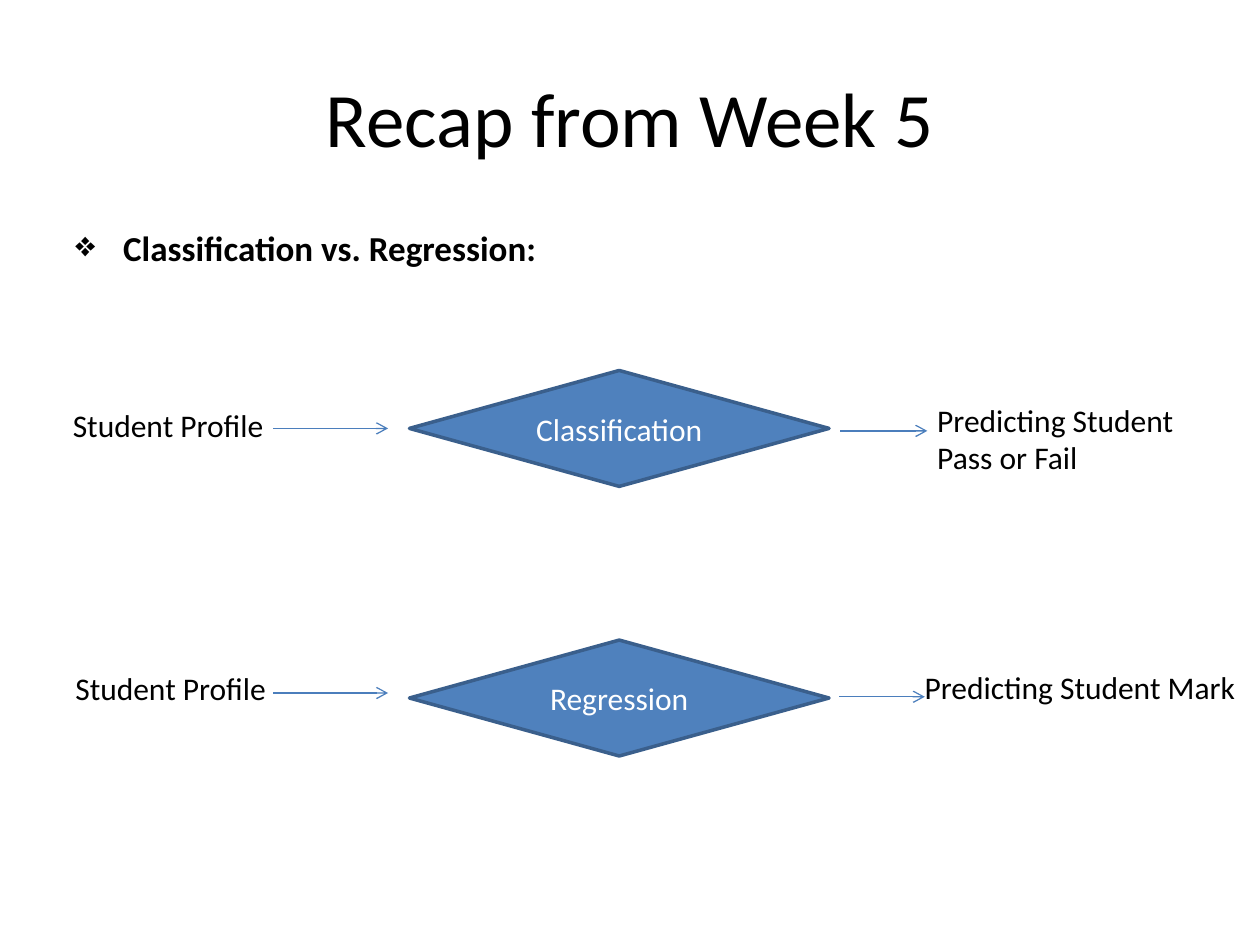
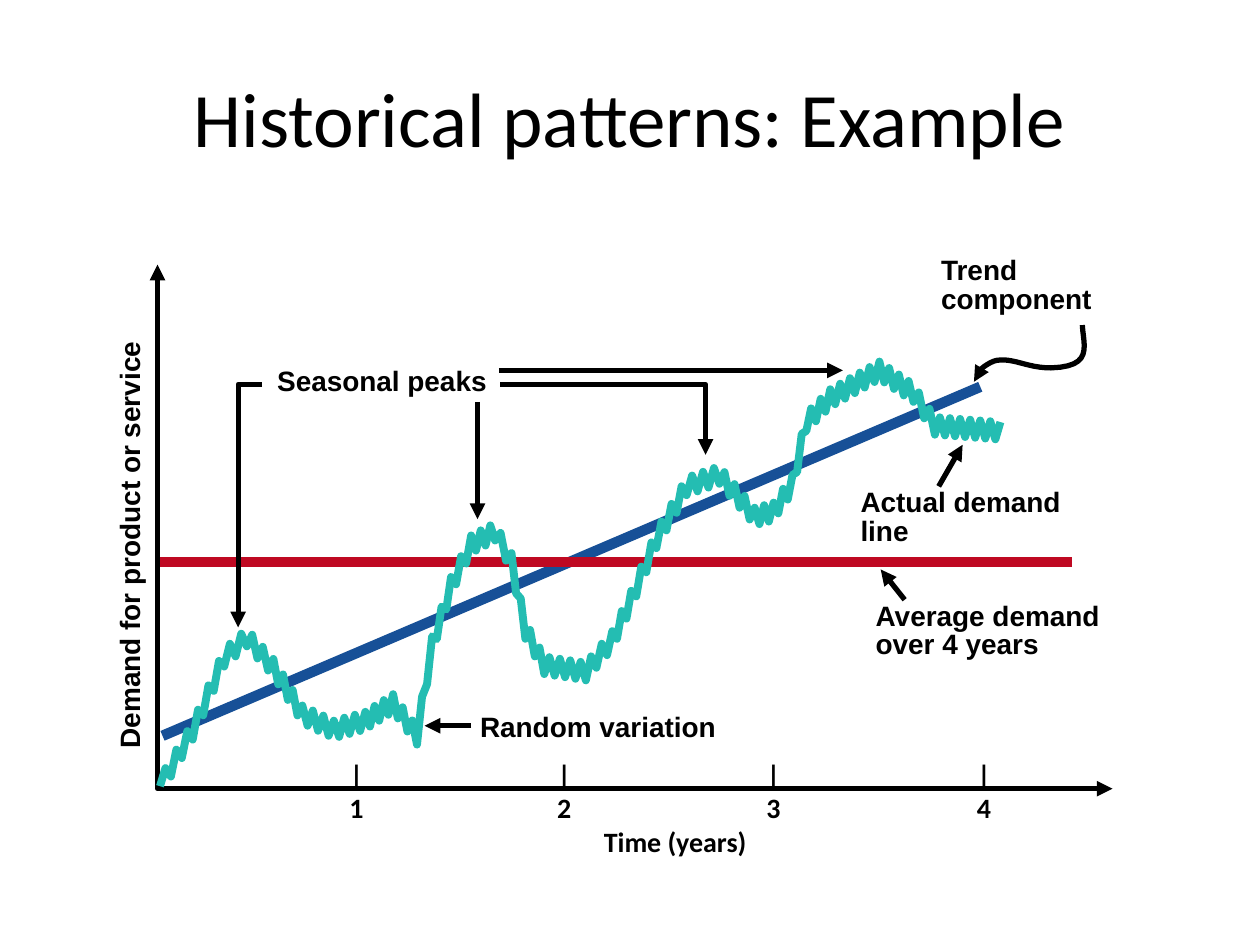
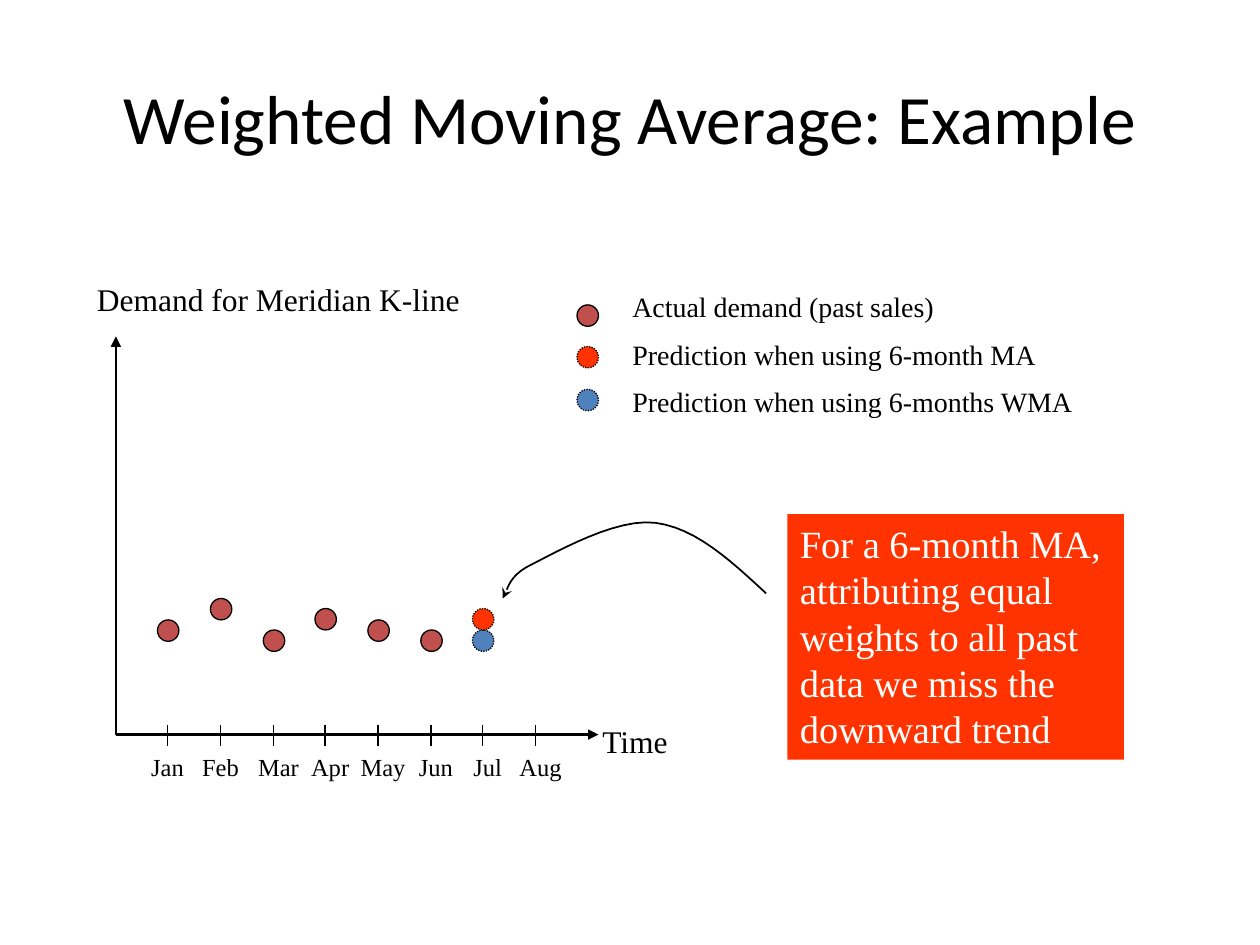
"""Build three forecasting slides: a recap, demand patterns and a moving average."""
from dataclasses import dataclass, field
from itertools import pairwise
from typing import Any, Optional

from lxml.etree import SubElement
from pptx import Presentation
from pptx.dml.color import RGBColor
from pptx.enum.dml import MSO_LINE
from pptx.enum.shapes import MSO_CONNECTOR, MSO_SHAPE
from pptx.enum.text import MSO_ANCHOR as Anchor, PP_ALIGN as Align
from pptx.oxml.ns import qn
from pptx.shapes.autoshape import Shape
from pptx.slide import Slide
from pptx.util import Emu, Pt

EMU_PER_PX = 9144
Point = tuple[float, float]


@dataclass(frozen=True)
class TextStyle:
    font: str
    size: float
    color: str = "000000"
    bold: bool = False
    align: Align = Align.LEFT
    spacing: float = 1.0
    before: int = 0
    anchor: Anchor = Anchor.TOP
    inset: int = 10


@dataclass(frozen=True)
class Stroke:
    color: str
    width: float
    head: str = ""
    tail: str = ""
    dash: Optional[MSO_LINE] = None


@dataclass(frozen=True)
class Theme:
    blue: str = "4F81BD"
    brick: str = "C0504D"
    orange: str = "FF3300"
    title: TextStyle = TextStyle("Calibri", 44, align=Align.CENTER, anchor=Anchor.MIDDLE)
    long_title: TextStyle = TextStyle("Calibri", 39.6, align=Align.CENTER, anchor=Anchor.MIDDLE)
    heading: TextStyle = TextStyle("Calibri", 20, bold=True)
    body: TextStyle = TextStyle("Calibri", 18)
    decision: TextStyle = TextStyle("Calibri", 18, "FFFFFF", align=Align.CENTER, anchor=Anchor.MIDDLE)
    ticks: TextStyle = TextStyle("Calibri", 16, bold=True)
    axis_name: TextStyle = TextStyle("Arial", 16, bold=True, inset=11)
    note: TextStyle = TextStyle("Arial", 16, bold=True, spacing=0.85, inset=11)
    serif: TextStyle = TextStyle("Times New Roman", 18, align=Align.CENTER)
    month: TextStyle = TextStyle("Times New Roman", 14, align=Align.CENTER)
    legend: TextStyle = TextStyle("Times New Roman", 16, before=8)
    callout: TextStyle = TextStyle("Times New Roman", 22, "FFFFFF")
    flow: Stroke = Stroke("4B7EBC", 0.75, tail="arrow")
    decision_edge: Stroke = Stroke("3A5F8C", 2)
    trend: Stroke = Stroke("175097", 6)
    average: Stroke = Stroke("BF0922", 6)
    demand: Stroke = Stroke("24BDB2", 4.5)
    both_axes: Stroke = Stroke("000000", 3, head="triangle", tail="triangle")
    pointer: Stroke = Stroke("000000", 3, tail="triangle")
    axis: Stroke = Stroke("000000", 1.25, tail="triangle")
    thin: Stroke = Stroke("000000", 0.75)
    dotted: Stroke = Stroke("000000", 0.75, dash=MSO_LINE.ROUND_DOT)
    callout_curve: Stroke = Stroke("000000", 1, head="stealth")


THEME = Theme()


@dataclass(frozen=True)
class Label:
    text: str
    left: int
    top: int
    width: int
    height: int
    style: TextStyle = field(default=THEME.body)
    wrap: bool = True
    rotation: int = 0


@dataclass(frozen=True)
class Segment:
    start: Point
    end: Point
    stroke: Stroke


DEMAND_COURSE: list[Point] = [
    (127, 624), (153, 580), (178, 522), (196, 506), (217, 530), (240, 567), (265, 579),
    (290, 572), (312, 558), (331, 584), (343, 512), (358, 465), (374, 432), (393, 422),
    (406, 446), (417, 500), (432, 528), (465, 533), (486, 508), (501, 476), (521, 428),
    (545, 386), (571, 377), (587, 396), (599, 410), (614, 406), (629, 384), (640, 335),
    (659, 316), (698, 294), (725, 312), (742, 338), (794, 342),
]
TREND_CURVE: list[Point] = [
    (859, 258), (860, 275), (868, 291), (834, 292), (815, 292),
    (805, 284), (791, 286), (783, 288), (773, 296), (773, 303),
]
CALLOUT_CURVE: list[Point] = [
    (399, 475), (403, 471), (401, 458), (422, 448), (442, 438),
    (489, 411), (520, 415), (552, 419), (580, 445), (608, 471),
]


def px(value: float) -> Emu:
    """Turn a length in px into EMU."""
    return Emu(round(value * EMU_PER_PX))


def set_values(target: Any, values: dict[str, Any]) -> None:
    """Set each named attribute of the target."""
    for name, value in values.items():
        setattr(target, name, value)


def apply_stroke(shape: Any, stroke: Stroke) -> None:
    """Give a shape or connector its line, dash and arrowheads."""
    line = shape.line
    line.color.rgb = RGBColor.from_string(stroke.color)
    set_values(line, {"width": Pt(stroke.width), "dash_style": stroke.dash})
    for tag, kind in (("a:headEnd", stroke.head), ("a:tailEnd", stroke.tail)):
        if kind:
            SubElement(line._get_or_add_ln(), qn(tag), type=kind)


def write_text(shape: Shape, text: str, style: TextStyle, wrap: bool = True) -> None:
    """Fill a shape with one styled paragraph per line of text."""
    frame = shape.text_frame
    set_values(frame, {
        "word_wrap": wrap, "vertical_anchor": style.anchor,
        "margin_left": px(style.inset), "margin_right": px(style.inset),
        "margin_top": px(5), "margin_bottom": px(5),
    })
    for index, line in enumerate(text.split("\n")):
        paragraph = frame.add_paragraph() if index else frame.paragraphs[0]
        set_values(paragraph, {
            "alignment": style.align, "line_spacing": style.spacing,
            "space_before": Pt(style.before if index else 0),
        })
        run = paragraph.add_run()
        run.text = line
        set_values(run.font, {"name": style.font, "size": Pt(style.size), "bold": style.bold})
        run.font.color.rgb = RGBColor.from_string(style.color)


def add_label(slide: Slide, label: Label) -> Shape:
    """Add a text box."""
    box = slide.shapes.add_textbox(*map(px, (label.left, label.top, label.width, label.height)))
    box.rotation = label.rotation
    write_text(box, label.text, label.style, label.wrap)
    return box


def add_segment(slide: Slide, segment: Segment) -> None:
    """Add a straight line or arrow."""
    ends = map(px, (*segment.start, *segment.end))
    connector = slide.shapes.add_connector(MSO_CONNECTOR.STRAIGHT, *ends)
    apply_stroke(connector, segment.stroke)
    SubElement(connector._element.spPr, qn("a:effectLst"))


def add_polyline(slide: Slide, points: list[Point], stroke: Stroke) -> None:
    """Add an open, unfilled outline through the points."""
    start, *others = [(px(x), px(y)) for x, y in points]
    builder = slide.shapes.build_freeform(*start, scale=1.0)
    builder.add_line_segments(others, close=False)
    outline = builder.convert_to_shape()
    outline.shadow.inherit = False
    outline.fill.background()
    apply_stroke(outline, stroke)


def sample_curve(controls: list[Point], steps: int = 12) -> list[Point]:
    """Return points along a chain of cubic curves."""
    points = [controls[0]]
    for first in range(0, len(controls) - 1, 3):
        quad = controls[first:first + 4]
        for step in range(1, steps + 1):
            t = step / steps
            weights = ((1 - t) ** 3, 3 * t * (1 - t) ** 2, 3 * t * t * (1 - t), t ** 3)
            points.append((
                sum(weight * x for weight, (x, _) in zip(weights, quad)),
                sum(weight * y for weight, (_, y) in zip(weights, quad)),
            ))
    return points


def add_jitter(course: list[Point], pitch: int = 4, swing: int = 7) -> list[Point]:
    """Return a zigzag that swings evenly about a course."""
    points = [course[0]]
    for (left, start), (right, end) in pairwise(course):
        steps = max(2, round((right - left) / pitch))
        for step in range(1, steps + 1):
            share = step / steps
            offset = swing if len(points) % 2 == 0 else -swing
            points.append((left + share * (right - left), start + share * (end - start) + offset))
    return points


def add_filled(slide: Slide, kind: MSO_SHAPE, box: tuple[int, int, int, int],
               fill: str, stroke: Optional[Stroke] = None) -> Shape:
    """Add a preset shape with a solid fill."""
    shape = slide.shapes.add_shape(kind, *map(px, box))
    shape.shadow.inherit = False
    shape.fill.solid()
    shape.fill.fore_color.rgb = RGBColor.from_string(fill)
    if stroke:
        apply_stroke(shape, stroke)
    else:
        shape.line.fill.background()
    return shape


def add_dot(slide: Slide, left: int, top: int, fill: str, stroke: Stroke) -> None:
    """Add a round data marker."""
    add_filled(slide, MSO_SHAPE.OVAL, (left, top, 17, 17), fill, stroke)


def add_titled_slide(presentation: Any, title: str, style: TextStyle = THEME.title) -> Slide:
    """Add a blank slide with its title."""
    slide = presentation.slides.add_slide(presentation.slide_layouts[6])
    add_label(slide, Label(title, 50, 30, 900, 125, style))
    return slide


def build_recap(presentation: Any) -> None:
    """Build the classification and regression recap."""
    slide = add_titled_slide(presentation, "Recap from Week 5")
    heading = add_label(slide, Label("Classification vs. Regression:", 50, 175, 900, 495, THEME.heading))
    properties = heading.text_frame.paragraphs[0]._p.get_or_add_pPr()
    properties.set("marL", str(px(38)))
    properties.set("indent", str(px(-38)))
    SubElement(properties, qn("a:buChar"), char="❖")
    for name, top in (("Classification", 294), ("Regression", 508)):
        diamond = add_filled(slide, MSO_SHAPE.FLOWCHART_DECISION, (325, top, 333, 92),
                             THEME.blue, THEME.decision_edge)
        write_text(diamond, name, THEME.decision)
    for left, right, y in ((217, 308, 340), (667, 736, 342), (217, 308, 550), (666, 734, 553)):
        add_segment(slide, Segment((left, y), (right, y), THEME.flow))
    for label in (
        Label("Student Profile", 48, 317, 183, 40),
        Label("Predicting Student\nPass or Fail", 734, 313, 216, 71),
        Label("Student Profile", 50, 526, 183, 40),
        Label("Predicting Student Mark", 724, 525, 276, 40),
    ):
        add_label(slide, label)


def build_patterns(presentation: Any) -> None:
    """Build the diagram of historical demand patterns."""
    slide = add_titled_slide(presentation, "Historical patterns: Example")
    add_segment(slide, Segment((129, 584), (778, 307), THEME.trend))
    add_segment(slide, Segment((124, 446), (851, 446), THEME.average))
    add_label(slide, Label("Demand for product or service", -70, 414, 345, 37,
                           THEME.axis_name, wrap=False, rotation=270))
    add_polyline(slide, [(125, 210), (125, 626), (883, 626)], THEME.both_axes)
    years = add_label(slide, Label("\t|\t|\t\t|\t|\n\t1\t2\t\t3\t4\n\t\t\tTime (years)",
                                   232, 596, 669, 90, THEME.ticks))
    for paragraph in years.text_frame.paragraphs:
        tabs = SubElement(paragraph._p.get_or_add_pPr(), qn("a:tabLst"))
        for position in (41, 206, 294, 372, 539):
            SubElement(tabs, qn("a:tab"), pos=str(px(position)), algn="ctr")
    for label in (
        Label("Average demand over 4 years", 684, 474, 210, 56, THEME.note),
        Label("Trend component", 736, 200, 144, 56, THEME.note),
        Label("Actual demand line", 672, 384, 186, 56, THEME.note),
        Label("Random variation", 370, 562, 219, 34, THEME.note),
        Label("Seasonal peaks", 209, 288, 189, 34, THEME.note, wrap=False),
    ):
        add_label(slide, label)
    add_polyline(slide, add_jitter(DEMAND_COURSE), THEME.demand)
    add_polyline(slide, sample_curve(TREND_CURVE), THEME.pointer)
    for start, end in (
        ((718, 476), (699, 452)), ((745, 386), (764, 353)), ((374, 576), (337, 576)),
        ((396, 294), (669, 294)), ((379, 319), (379, 412)),
    ):
        add_segment(slide, Segment(start, end, THEME.pointer))
    for left, right, bottom in ((397, 560, 361), (208, 189, 498)):
        add_polyline(slide, [(left, 305), (right, 305), (right, bottom)], THEME.pointer)


def build_moving_average(presentation: Any) -> None:
    """Build the weighted moving average diagram."""
    slide = add_titled_slide(presentation, "Weighted Moving Average: Example", THEME.long_title)
    add_label(slide, Label("Demand for Meridian K-line", 42, 217, 358, 40, THEME.serif))
    add_label(slide, Label("Time", 450, 568, 108, 40, THEME.serif))
    for end in ((92, 267), (475, 583)):
        add_segment(slide, Segment((92, 583), end, THEME.axis))

    months = ("Jan", "Feb", "Mar", "Apr", "May", "Jun", "Jul", "Aug")
    month_x = [round(133.33 + 41.67 * index) for index in range(len(months))]
    for index, (month, x) in enumerate(zip(months, month_x)):
        add_segment(slide, Segment((x, 575), (x, 592), THEME.thin))
        add_label(slide, Label(month, x - 25, 592, 50 if index < 2 else 58, 33, THEME.month))
    for x, top in zip(month_x, (492, 475, 500, 483, 492, 500)):
        add_dot(slide, x - 8, top, THEME.brick, THEME.thin)

    add_dot(slide, 375, 500, THEME.blue, THEME.dotted)
    add_dot(slide, 375, 483, THEME.orange, THEME.dotted)
    legend = ((THEME.brick, THEME.thin), (THEME.orange, THEME.dotted), (THEME.blue, THEME.dotted))
    for index, (fill, stroke) in enumerate(legend):
        add_dot(slide, 458, round(242 + 33.4 * index), fill, stroke)
    add_label(slide, Label(
        "Actual demand (past sales)\nPrediction when using 6-month MA\n"
        "Prediction when using 6-months WMA", 492, 225, 458, 117, THEME.legend))
    add_polyline(slide, sample_curve(CALLOUT_CURVE), THEME.callout_curve)
    callout = add_filled(slide, MSO_SHAPE.RECTANGLE, (625, 408, 267, 195), THEME.orange)
    write_text(callout, "For a 6-month MA, attributing equal weights to all past data "
               "we miss the downward trend", THEME.callout)


def main() -> None:
    """Build and save the presentation."""
    presentation = Presentation()
    set_values(presentation, {"slide_width": px(1000), "slide_height": px(750)})
    for build in (build_recap, build_patterns, build_moving_average):
        build(presentation)
    presentation.save("out.pptx")


if __name__ == "__main__":
    main()
